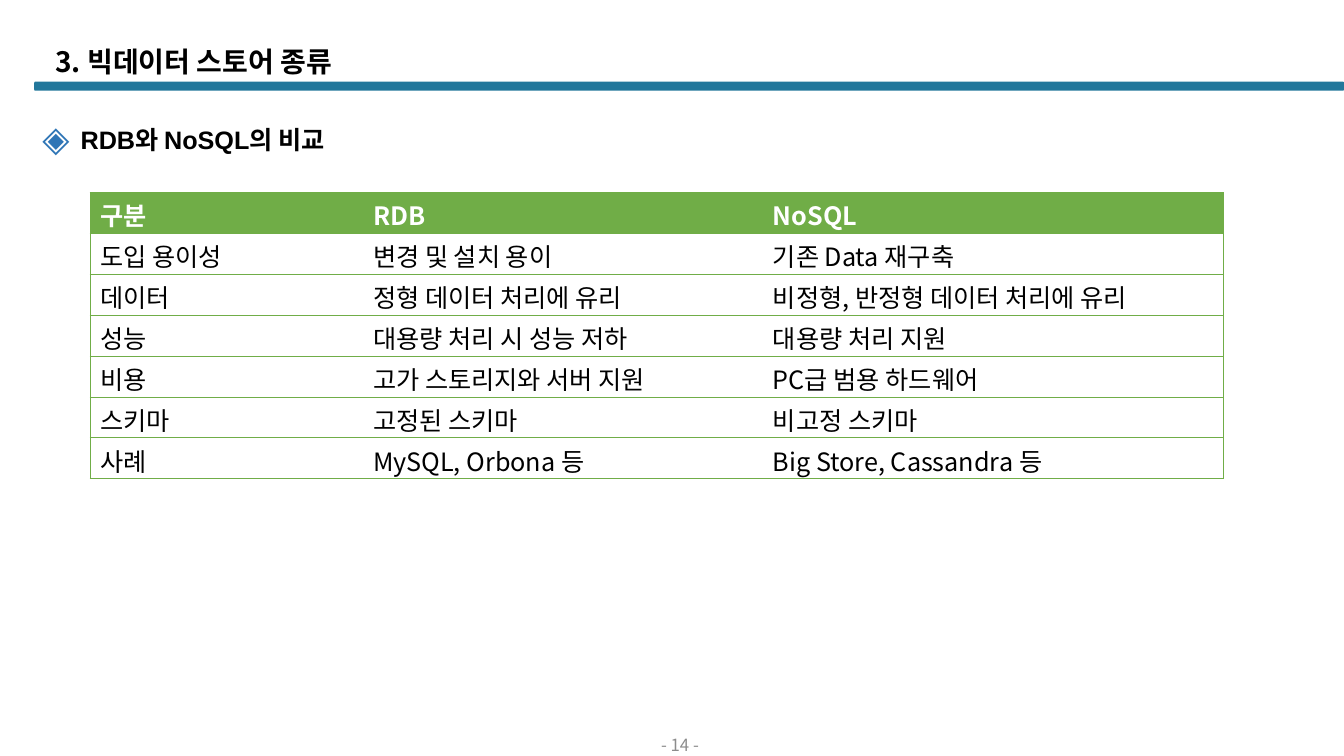
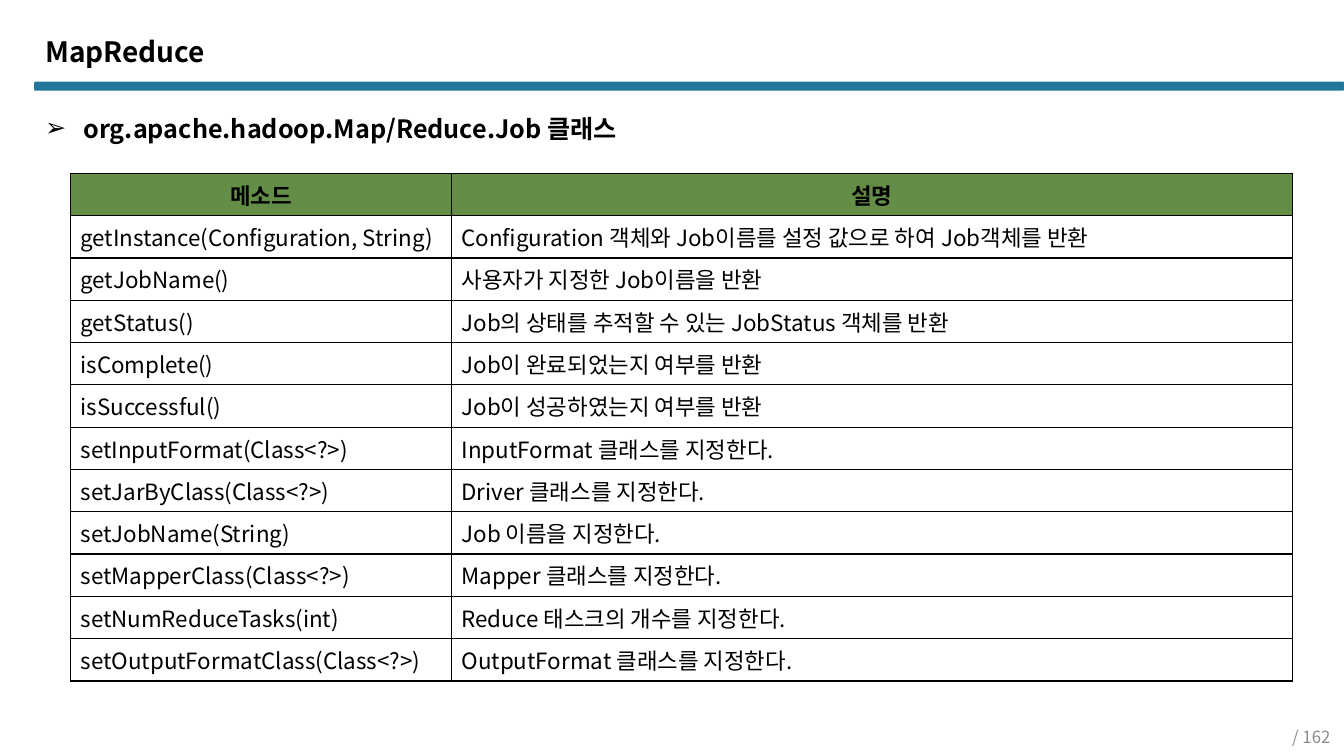
from dataclasses import dataclass

from lxml import etree
from pptx import Presentation
from pptx.dml.color import RGBColor
from pptx.enum.shapes import MSO_SHAPE
from pptx.enum.text import MSO_ANCHOR, PP_ALIGN
from pptx.oxml.ns import qn
from pptx.util import Inches, Pt

ROUNDED = MSO_SHAPE.ROUNDED_RECTANGLE
TOP, MIDDLE = MSO_ANCHOR.TOP, MSO_ANCHOR.MIDDLE
LEFT, CENTER, RIGHT = PP_ALIGN.LEFT, PP_ALIGN.CENTER, PP_ALIGN.RIGHT
SLIDE_WIDTH, SLIDE_HEIGHT = Inches(13.333), Inches(7.5)


@dataclass(frozen=True)
class Theme:
    font: str = "Noto Sans CJK KR"
    latin_font: str = "Arial"
    ink: str = "000000"
    white: str = "FFFFFF"
    band: str = "22779B"
    footer: str = "8C8C8C"
    diamond: str = "2E75B6"
    green: str = "70AD47"
    dark_green: str = "548235"
    title_size: int = 20
    heading_size: int = 18
    footer_size: int = 12


@dataclass(frozen=True)
class Box:
    """Shares of the slide, in percent."""
    left: float
    top: float
    width: float
    height: float

    def emu(self):
        return (int(SLIDE_WIDTH * self.left / 100), int(SLIDE_HEIGHT * self.top / 100),
                int(SLIDE_WIDTH * self.width / 100), int(SLIDE_HEIGHT * self.height / 100))


@dataclass(frozen=True)
class Bullet:
    character: str
    color: str
    percent: int


@dataclass(frozen=True)
class TableStyle:
    size: int
    header_fill: str
    header_opacity: int
    header_color: str
    header_align: PP_ALIGN
    border_color: str
    border_width: float
    inner_verticals: bool
    margin_top: float
    margin_bottom: float


THEME = Theme()
BAND_BOX = Box(2.55, 10.8, 97.45, 1.2)
COMPARISON_STYLE = TableStyle(18, THEME.green, 100, THEME.white, LEFT,
                              THEME.green, 0.5, False, 0.04, 0)
METHOD_STYLE = TableStyle(16, THEME.dark_green, 90, THEME.ink, CENTER,
                          THEME.ink, 1, True, 0.05, 0.05)

COMPARISON_ROWS = [
    ("구분", "RDB", "NoSQL"),
    ("도입 용이성", "변경 및 설치 용이", "기존 Data 재구축"),
    ("데이터", "정형 데이터 처리에 유리", "비정형, 반정형 데이터 처리에 유리"),
    ("성능", "대용량 처리 시 성능 저하", "대용량 처리 지원"),
    ("비용", "고가 스토리지와 서버 지원", "PC급 범용 하드웨어"),
    ("스키마", "고정된 스키마", "비고정 스키마"),
    ("사례", "MySQL, Orbona 등", "Big Store, Cassandra 등"),
]
METHOD_ROWS = [
    ("메소드", "설명"),
    ("getInstance(Configuration, String)",
     "Configuration 객체와 Job이름를 설정 값으로 하여 Job객체를 반환"),
    ("getJobName()", "사용자가 지정한 Job이름을 반환"),
    ("getStatus()", "Job의 상태를 추적할 수 있는 JobStatus 객체를 반환"),
    ("isComplete()", "Job이 완료되었는지 여부를 반환"),
    ("isSuccessful()", "Job이 성공하였는지 여부를 반환"),
    ("setInputFormat(Class<?>)", "InputFormat 클래스를 지정한다."),
    ("setJarByClass(Class<?>)", "Driver 클래스를 지정한다."),
    ("setJobName(String)", "Job 이름을 지정한다."),
    ("setMapperClass(Class<?>)", "Mapper 클래스를 지정한다."),
    ("setNumReduceTasks(int)", "Reduce 태스크의 개수를 지정한다."),
    ("setOutputFormatClass(Class<?>)", "OutputFormat 클래스를 지정한다."),
]


def format_runs(paragraph, size, color, bold=False, font=THEME.font):
    for run in paragraph.runs:
        run.font.size = Pt(size)
        run.font.bold = bold
        run.font.color.rgb = RGBColor.from_string(color)
        run.font.name = font
        properties = run.font._element
        east_asian = etree.SubElement(properties, qn("a:ea"))
        east_asian.set("typeface", THEME.font)


def add_text(slide, box, text, anchor=TOP, align=LEFT):
    shape = slide.shapes.add_textbox(*box.emu())
    frame = shape.text_frame
    frame.word_wrap = True
    frame.vertical_anchor = anchor
    frame.text = text
    paragraph = frame.paragraphs[0]
    paragraph.alignment = align
    return frame, paragraph


def add_band(slide, box):
    shape = slide.shapes.add_shape(ROUNDED, *box.emu())
    shape.adjustments[0] = 0.13
    shape.shadow.inherit = False
    shape.fill.solid()
    shape.fill.fore_color.rgb = RGBColor.from_string(THEME.band)
    shape.line.fill.background()


def add_title(slide, box, text):
    paragraph = add_text(slide, box, text)[1]
    paragraph.line_spacing = 0.9
    format_runs(paragraph, THEME.title_size, THEME.ink, bold=True)


def add_footer(slide, box, text, align):
    paragraph = add_text(slide, box, text, MIDDLE, align)[1]
    format_runs(paragraph, THEME.footer_size, THEME.footer)


def add_heading(slide, box, text, bullet, font, inset):
    frame, paragraph = add_text(slide, box, text)
    frame.margin_left = frame.margin_right = Inches(inset)
    frame.margin_top = frame.margin_bottom = Inches(inset / 2)
    properties = paragraph._p.get_or_add_pPr()
    indent = Inches(0.38)
    properties.set("marL", str(indent))
    properties.set("indent", str(-indent))
    color = etree.SubElement(properties, qn("a:buClr"))
    etree.SubElement(color, qn("a:srgbClr")).set("val", bullet.color)
    etree.SubElement(properties, qn("a:buSzPct")).set("val", str(bullet.percent * 1000))
    etree.SubElement(properties, qn("a:buFont")).set("typeface", THEME.latin_font)
    etree.SubElement(properties, qn("a:buChar")).set("char", bullet.character)
    format_runs(paragraph, THEME.heading_size, THEME.ink, bold=True, font=font)


def set_borders(cell, visible_sides, style):
    properties = cell._tc.get_or_add_tcPr()
    for position, side in enumerate("LRTB"):
        line = etree.Element(qn(f"a:ln{side}"))
        line.set("w", str(Pt(style.border_width)))
        if side in visible_sides:
            fill = etree.SubElement(line, qn("a:solidFill"))
            etree.SubElement(fill, qn("a:srgbClr")).set("val", style.border_color)
        else:
            etree.SubElement(line, qn("a:noFill"))
        properties.insert(position, line)


def fill_cell(cell, is_header, style):
    if not is_header:
        cell.fill.background()
        return
    cell.fill.solid()
    cell.fill.fore_color.rgb = RGBColor.from_string(style.header_fill)
    if style.header_opacity < 100:
        color = cell._tc.tcPr.find(f".//{qn('a:srgbClr')}")
        etree.SubElement(color, qn("a:alpha")).set("val", str(style.header_opacity * 1000))


def add_grid_table(slide, box, rows, column_weights, style):
    left, top, width, height = box.emu()
    last_column = len(column_weights) - 1
    table = slide.shapes.add_table(len(rows), len(column_weights),
                                   left, top, width, height).table
    table.first_row = table.horz_banding = False
    for column, weight in zip(table.columns, column_weights):
        column.width = int(width * weight / sum(column_weights))
    for row_index, texts in enumerate(rows):
        table.rows[row_index].height = height // len(rows)
        is_header = row_index == 0
        for column_index, text in enumerate(texts):
            cell = table.cell(row_index, column_index)
            cell.margin_top = Inches(style.margin_top)
            cell.margin_bottom = Inches(style.margin_bottom)
            cell.text_frame.text = text
            paragraph = cell.text_frame.paragraphs[0]
            paragraph.alignment = style.header_align if is_header else LEFT
            format_runs(paragraph, style.size,
                        style.header_color if is_header else THEME.ink, is_header)
            fill_cell(cell, is_header, style)
            sides = "TB"
            if style.inner_verticals or column_index == 0:
                sides += "L"
            if style.inner_verticals or column_index == last_column:
                sides += "R"
            set_borders(cell, sides, style)


def add_base_slide(presentation):
    slide = presentation.slides.add_slide(presentation.slide_layouts[6])
    add_band(slide, BAND_BOX)
    return slide


def build_comparison_slide(presentation):
    slide = add_base_slide(presentation)
    add_title(slide, Box(3.38, 5.73, 90, 6.27), "3. 빅데이터 스토어 종류")
    add_footer(slide, Box(38.93, 96.93, 23.33, 3.07), "- 14 -", CENTER)
    add_heading(slide, Box(3.15, 16.4, 89.2, 4), "RDB와 NoSQL의 비교",
                Bullet("◈", THEME.diamond, 140), THEME.latin_font, 0)
    add_grid_table(slide, Box(6.7, 25.47, 84.3, 37.87), COMPARISON_ROWS,
                   (2.71, 3.97, 4.57), COMPARISON_STYLE)


def build_method_slide(presentation):
    slide = add_base_slide(presentation)
    add_title(slide, Box(2.62, 4.4, 59.25, 6.27), "MapReduce")
    add_footer(slide, Box(76.4, 95.87, 23.33, 3.07), "/ 162", RIGHT)
    add_heading(slide, Box(2.62, 14.27, 91.8, 5.33),
                "org.apache.hadoop.Map/Reduce.Job 클래스",
                Bullet("➢", THEME.ink, 100), THEME.font, 0.1)
    add_grid_table(slide, Box(5.25, 22.93, 90.9, 67.2), METHOD_ROWS,
                   (3.78, 8.34), METHOD_STYLE)


def main():
    presentation = Presentation()
    presentation.slide_width = SLIDE_WIDTH
    presentation.slide_height = SLIDE_HEIGHT
    build_comparison_slide(presentation)
    build_method_slide(presentation)
    presentation.save("out.pptx")


if __name__ == "__main__":
    main()
